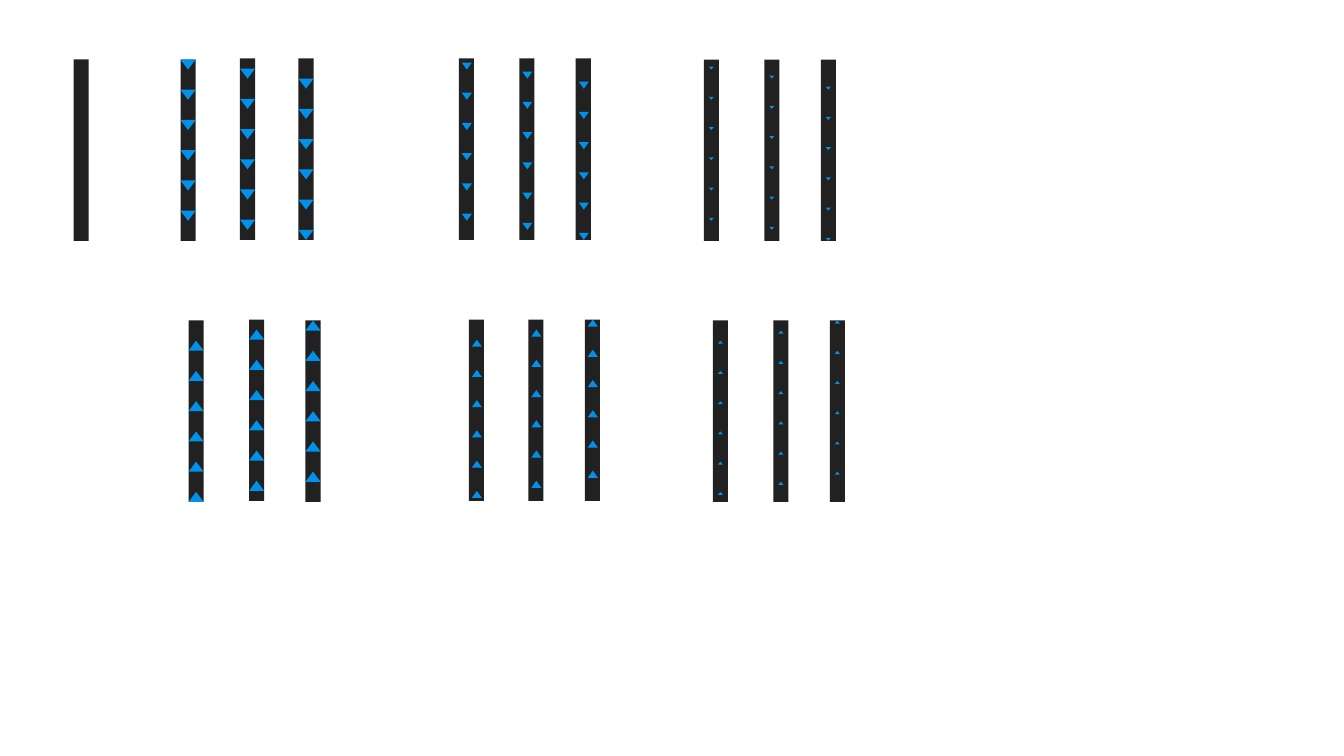
from dataclasses import dataclass

from pptx import Presentation
from pptx.dml.color import RGBColor
from pptx.enum.shapes import MSO_SHAPE

PX = 9144  # EMU per px, 100 px to the inch


@dataclass(frozen=True)
class Theme:
    track: RGBColor = RGBColor(0x21, 0x21, 0x21)
    arrow: RGBColor = RGBColor(0x00, 0x91, 0xEA)


THEME = Theme()
TRACK_W, TRACK_H = 15, 180
ARROW_COUNT, ARROW_PITCH = 6, 30
LARGE, MEDIUM, SMALL = (15, 10), (10, 7), (5, 3)

# Each set: arrow size, then (track left, track top, first arrow offset) per frame
DOWN_SETS = [
    (LARGE, [(179, 59, 0), (238, 58, 10), (296, 58, 20)]),
    (MEDIUM, [(455, 58, 4), (515, 58, 13), (571, 58, 23)]),
    (SMALL, [(698, 59, 7), (758, 59, 16), (814, 59, 27)]),
]
UP_SETS = [
    (LARGE, [(187, 318, 20), (247, 317, 10), (303, 318, 0)]),
    (MEDIUM, [(465, 317, 20), (524, 317, 10), (580, 317, 0)]),
    (SMALL, [(707, 318, 20), (767, 318, 10), (823, 318, 0)]),
]


def add_piece(shapes, kind, box, color, rotation=0):
    piece = shapes.add_shape(kind, *(length * PX for length in box))
    piece.rotation = rotation
    piece.shadow.inherit = False
    piece.fill.solid()
    piece.fill.fore_color.rgb = color
    piece.line.fill.background()


def add_track(shapes, left, top, rotation=0):
    add_piece(shapes, MSO_SHAPE.RECTANGLE, (left, top, TRACK_W, TRACK_H),
              THEME.track, rotation)


def add_arrow_track(slide, left, top, first, arrow_size, rotation):
    """One grouped track with evenly spaced arrows centred across it."""
    group = slide.shapes.add_group_shape()
    add_track(group.shapes, left, top, rotation)
    width, height = arrow_size
    inset = (TRACK_W - width + 1) // 2
    for step in range(ARROW_COUNT):
        arrow_top = top + first + step * ARROW_PITCH
        add_piece(group.shapes, MSO_SHAPE.ISOSCELES_TRIANGLE,
                  (left + inset, arrow_top, width, height), THEME.arrow, rotation)


def add_track_row(slide, track_sets, rotation):
    for arrow_size, frames in track_sets:
        for left, top, first in frames:
            add_arrow_track(slide, left, top, first, arrow_size, rotation)


def main():
    deck = Presentation()
    deck.slide_width, deck.slide_height = 1333 * PX, 750 * PX
    slide = deck.slides.add_slide(deck.slide_layouts[6])

    # Downward arrows
    add_track_row(slide, DOWN_SETS, rotation=180)
    # Empty track
    add_track(slide.shapes, 73, 59)
    # Upward arrows
    add_track_row(slide, UP_SETS, rotation=0)

    deck.save("out.pptx")


if __name__ == "__main__":
    main()
